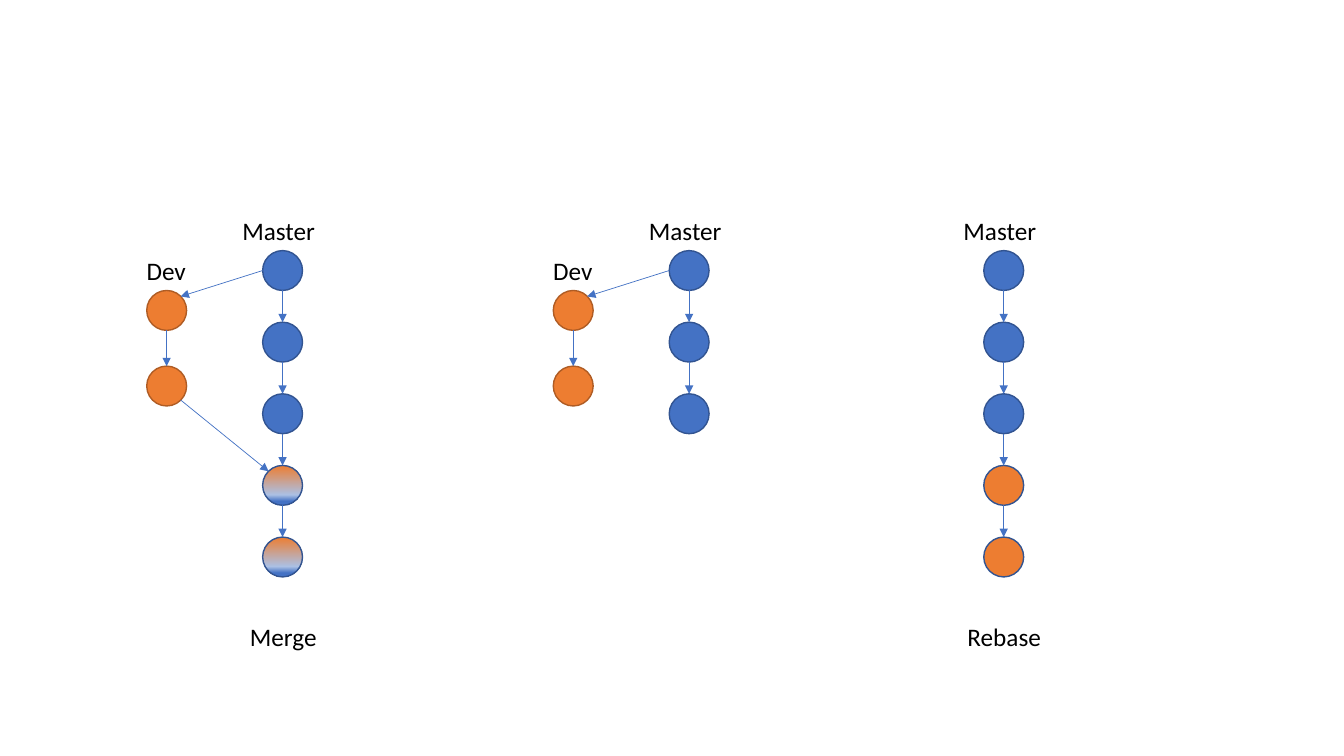
from lxml import etree
from pptx import Presentation
from pptx.dml.color import RGBColor
from pptx.enum import shapes, text
from pptx.oxml.ns import qn
from pptx.util import Pt

BLUE = RGBColor(0x44, 0x72, 0xC4)
BLUE_EDGE = RGBColor(0x32, 0x54, 0x91)
ORANGE = RGBColor(0xED, 0x7D, 0x31)
ORANGE_EDGE = RGBColor(0xAF, 0x5C, 0x24)
PALE_BLUE = RGBColor(0xAB, 0xC0, 0xE4)
BLACK = RGBColor(0, 0, 0)
MERGED = [(0, ORANGE), (74, PALE_BLUE), (90, BLUE), (100, BLUE)]

SIZE = 28.5          # commit diameter
MASTER_TOP = 179
MASTER_STEP = 51.15
DEV_TOP = 207.5
DEV_STEP = 54
DEV_OFFSET = -82.8   # dev branch relative to master
LABEL_RISE = 28.8

# Connection sites as fractions of the commit's box
TOP, BOTTOM, LEFT = (0.5, 0), (0.5, 1), (0, 0.5)
TOP_LEFT, TOP_RIGHT, BOTTOM_RIGHT = (0.15, 0.15), (0.85, 0.15), (0.85, 0.85)


class Diagram:
    font, font_size = "Calibri", 18

    def __init__(self, slide):
        self.s = slide

    def commit(self, x, y, fill, edge):
        sp = self.s.shapes.add_shape(shapes.MSO_SHAPE.OVAL, Pt(x), Pt(y), Pt(SIZE), Pt(SIZE))
        sp.shadow.inherit = False
        if isinstance(fill, list):
            self.gradient(sp, fill)
        else:
            sp.fill.solid()
            sp.fill.fore_color.rgb = fill
        sp.line.color.rgb = edge
        sp.line.width = Pt(1)
        return x, y

    def gradient(self, sp, stops):
        sp.fill.gradient()
        sp.fill.gradient_angle = 270
        gs_list = sp._element.spPr.find(qn("a:gradFill")).find(qn("a:gsLst"))
        for gs in list(gs_list):
            gs_list.remove(gs)
        for percent, color in stops:
            gs = etree.SubElement(gs_list, qn("a:gs"), pos=str(percent * 1000))
            etree.SubElement(gs, qn("a:srgbClr"), val=str(color))

    def arrow(self, start, start_site, end, end_site):
        ends = [Pt(corner + SIZE * part)
                for commit, site in ((start, start_site), (end, end_site))
                for corner, part in zip(commit, site)]
        cx = self.s.shapes.add_connector(shapes.MSO_CONNECTOR.STRAIGHT, *ends)
        cx.line.color.rgb = BLUE
        cx.line.width = Pt(0.5)
        etree.SubElement(cx.line._get_or_add_ln(), qn("a:tailEnd"), type="triangle")
        etree.SubElement(cx._element.spPr, qn("a:effectLst"))

    def label(self, words, x, y, width):
        tf = self.s.shapes.add_textbox(Pt(x), Pt(y), Pt(width), Pt(29)).text_frame
        tf.word_wrap = True
        tf.auto_size = text.MSO_AUTO_SIZE.SHAPE_TO_FIT_TEXT
        p = tf.paragraphs[0]
        p.text = words
        p.font.name, p.font.size = self.font, Pt(self.font_size)
        p.font.color.rgb = BLACK

    def branch(self, x, top, step, fills, edge):
        commits = [self.commit(x, top + i * step, fill, edge) for i, fill in enumerate(fills)]
        for parent, child in zip(commits, commits[1:]):
            self.arrow(parent, BOTTOM, child, TOP)
        return commits

    def master(self, x, fills):
        self.label("Master", x - 21.6, MASTER_TOP - LABEL_RISE, 72)
        return self.branch(x, MASTER_TOP, MASTER_STEP, fills, BLUE_EDGE)

    def dev(self, master):
        x = master[0][0] + DEV_OFFSET
        self.label("Dev", x - 7.2, DEV_TOP - LABEL_RISE, 58.3)
        commits = self.branch(x, DEV_TOP, DEV_STEP, [ORANGE] * 2, ORANGE_EDGE)
        self.arrow(master[0], LEFT, commits[0], TOP_RIGHT)
        return commits


prs = Presentation()
prs.slide_width, prs.slide_height = Pt(960), Pt(540)
d = Diagram(prs.slides.add_slide(prs.slide_layouts[6]))

# Merge: dev joins master again
master = d.master(187.6, [BLUE] * 3 + [MERGED] * 2)
dev = d.dev(master)
d.arrow(dev[-1], BOTTOM_RIGHT, master[3], TOP_LEFT)

# Starting point: two separate branches
d.dev(d.master(478, [BLUE] * 3))

# Rebase: dev commits follow master
d.master(702.7, [BLUE] * 3 + [ORANGE] * 2)

# Captions
for caption, x in (("Merge", 171.4), ("Rebase", 684)):
    d.label(caption, x, 440, 113)

prs.save("out.pptx")
